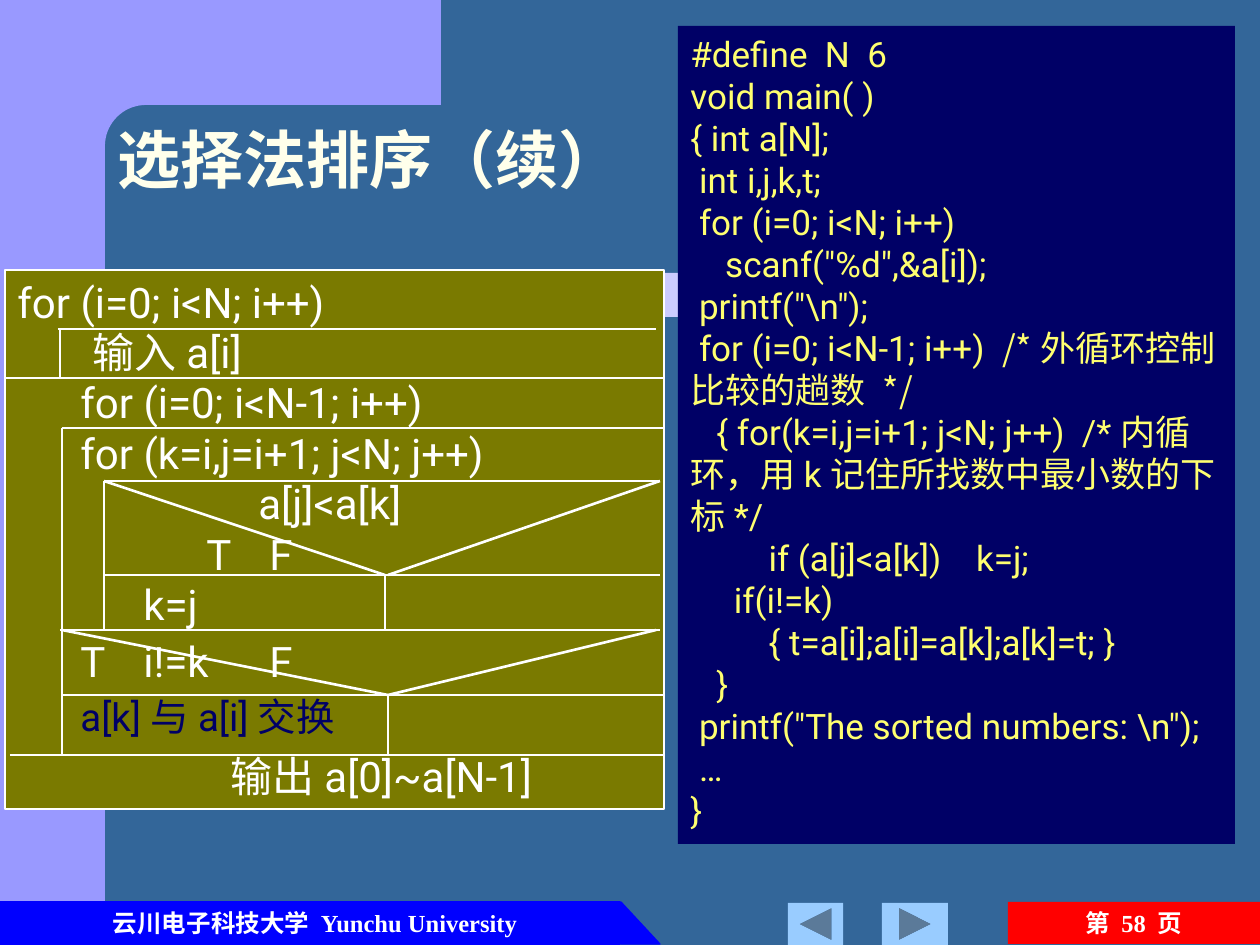
import math

import pptx
import pptx.dml.color
import pptx.enum.shapes
import pptx.enum.text
import pptx.oxml
import pptx.oxml.ns
import pptx.util

SHAPE = pptx.enum.shapes.MSO_SHAPE
ALIGN = pptx.enum.text.PP_ALIGN
ANCHOR = pptx.enum.text.MSO_ANCHOR
qn = pptx.oxml.ns.qn

EMU_PER_PX = 914400 / 126
WHITE = "FFFFFF"
NAVY = "000066"
LILAC = "9999FF"
CJK = "Noto Sans CJK SC"


def px(length):
    return pptx.util.Emu(round(length * EMU_PER_PX))


def color(hex_value):
    return pptx.dml.color.RGBColor.from_string(hex_value)


def style(shape, fill, line=None, width=0.75):
    shape.shadow.inherit = False
    shape.fill.solid()
    shape.fill.fore_color.rgb = color(fill)
    if line:
        shape.line.color.rgb = color(line)
        shape.line.width = pptx.util.Pt(width)
    else:
        shape.line.fill.background()


def add_block(slide, preset, box, fill, **outline):
    shape = slide.shapes.add_shape(preset, *map(px, box))
    style(shape, fill, **outline)
    return shape


def add_line(slide, start, end):
    line = slide.shapes.add_connector(
        pptx.enum.shapes.MSO_CONNECTOR.STRAIGHT, *map(px, start + end))
    line.line.color.rgb = color(WHITE)
    line.line.width = pptx.util.Pt(1.5)
    line._element.spPr.append(pptx.oxml.parse_xml(
        '<a:effectLst xmlns:a="http://schemas.openxmlformats.org/drawingml/2006/main"/>'))


def prepare_frame(shape, anchor=ANCHOR.TOP):
    frame = shape.text_frame
    frame.word_wrap = True
    frame.vertical_anchor = anchor
    frame.margin_left = frame.margin_right = pptx.util.Inches(0.1)
    frame.margin_top = frame.margin_bottom = pptx.util.Inches(0.05)
    return frame


def write(frame, *parts, font, size, fill, asian=None, bold=False, align=ALIGN.LEFT,
          spacing=None, before=0, indent=0, tabs=()):
    """Add one paragraph; a part is text, or a (text, latin font) pair."""
    first = frame.paragraphs[0]
    paragraph = first if not first.runs else frame.add_paragraph()
    paragraph.alignment = align
    paragraph.space_before = pptx.util.Pt(before)
    if spacing:
        paragraph.line_spacing = spacing
    properties = paragraph._p.get_or_add_pPr()
    properties.set("marL", "0")
    properties.set("indent", str(px(indent)))
    if tabs:
        stops = properties.makeelement(qn("a:tabLst"), {})
        for position in tabs:
            stops.append(stops.makeelement(
                qn("a:tab"), {"pos": str(px(position)), "algn": "l"}))
        properties.append(stops)
    for part in parts:
        text, latin = part if isinstance(part, tuple) else (part, font)
        run = paragraph.add_run()
        run.text = text
        run.font.name = latin
        run.font.size = pptx.util.Pt(size)
        run.font.bold = bold
        run.font.color.rgb = color(fill)
        run.font._element.find(qn("a:latin")).addnext(
            properties.makeelement(qn("a:ea"), {"typeface": asian or font}))


def draw_backdrop(slide):
    slide.background.fill.solid()
    slide.background.fill.fore_color.rgb = color("336699")
    add_block(slide, SHAPE.RECTANGLE, (0, 0, 105, 945), LILAC)

    radius, inner, bottom = 41, 105, 105
    corner = [(inner + radius * (1 - math.sin(math.radians(angle))),
               bottom + radius * (1 - math.cos(math.radians(angle))))
              for angle in range(0, 91, 5)]
    outline = [(63, 0), (441, 0), (441, bottom), *corner, (inner, 161), (63, 161)]
    points = [(px(x), px(y)) for x, y in outline]
    builder = slide.shapes.build_freeform(*points[0])
    builder.add_line_segments(points[1:], close=True)
    style(builder.convert_to_shape(), LILAC)

    add_block(slide, SHAPE.RECTANGLE, (84, 273, 966, 44), "CCCCFF")


def draw_footer(slide, left, top, width, height):
    blue, red, button = "0000FF", "FF0000", "99CCFF"
    add_block(slide, SHAPE.RECTANGLE, (left, top, 620, height), blue, line=blue)
    add_block(slide, SHAPE.RIGHT_TRIANGLE, (left + 621, top, 39, height), blue, line=blue)
    label = dict(size=14, fill=WHITE, asian=CJK, bold=True, align=ALIGN.CENTER)

    school = slide.shapes.add_textbox(*map(px, (left + 36, top, 558, height)))
    write(prepare_frame(school, ANCHOR.MIDDLE), "云川电子科技大学 Yunchu University",
          font="Times New Roman", **label)

    page = add_block(slide, SHAPE.RECTANGLE, (left + width - 252, top, 252, height), red)
    write(prepare_frame(page, ANCHOR.MIDDLE), "第 ", ("58 ", "Times New Roman"), "页",
          font=CJK, **label)

    forward = SHAPE.ACTION_BUTTON_FORWARD_OR_NEXT
    add_block(slide, forward, (left + 882, top + 1, 66, height), button)
    back = add_block(slide, forward, (left + 788, top + 1, 55, height), button)
    back.rotation = 180


def draw_title(slide, left, top, width, height):
    title = slide.shapes.add_textbox(*map(px, (left, top, width, height)))
    write(prepare_frame(title, ANCHOR.BOTTOM), "选择法排序（续）",
          font="Arial", size=36, fill="FFFFEB", bold=True, spacing=0.9)


def draw_flow_diagram(slide, left, top, width, height):
    """Draw the nested box diagram of the sort."""
    panel = add_block(slide, SHAPE.RECTANGLE, (left, top, width, height), "7A7A00",
                      line=WHITE, width=1.5)
    frame = prepare_frame(panel)
    steps = [
        ("for (i=0; i<N; i++)", dict()),
        ("输入a[i]", dict(indent=75)),
        ("for (i=0; i<N-1; i++)", dict(indent=63)),
        ("for (k=i,j=i+1; j<N; j++)", dict(indent=63)),
        ("a[j]<a[k]", dict(indent=241)),
        ("T\tF", dict(indent=189, tabs=[494])),
        ("k=j", dict(indent=126)),
        ("T\ti!=k\tF", dict(indent=63, tabs=[243, 485], before=4)),
        ("a[k]与a[i]交换", dict(indent=63, before=4, size=22, fill=NAVY)),
        ("输出a[0]~a[N-1]", dict(indent=213, before=6)),
    ]
    for text, changes in steps:
        look = dict(font="Roboto", size=24, fill=WHITE) | changes
        write(frame, text, spacing=pptx.util.Pt(look["size"] * 1.2), **look)

    outer, inner, middle, right = 57, 99, 383, 655
    read, sort, scan, compare, choose, swap, exchange, output = (
        59, 108, 158, 211, 305, 360, 425, 485)
    rules = [
        (53, read, 651, read), (1, sort, width, sort), (outer, scan, width, scan),
        (inner, compare, right, compare), (inner, choose, right, choose),
        (outer - 2, swap, right, swap), (outer, exchange, width, exchange),
        (5, output, width, output),
        (55, read, 55, sort), (outer, scan, outer, output), (inner, compare, inner, swap),
        (middle - 3, choose, middle - 3, swap), (middle, exchange, middle, output),
        (inner, compare, middle - 3, choose), (middle, choose, right, compare),
        (outer, swap, middle, exchange), (651, swap, middle, exchange),
    ]
    for x1, y1, x2, y2 in rules:
        add_line(slide, (left + x1, top + y1), (left + x2, top + y2))


def draw_code(slide, left, top, width, height):
    panel = add_block(slide, SHAPE.RECTANGLE, (left, top, width, height), NAVY)
    frame = prepare_frame(panel)
    space_width = 8.7
    code = [
        (0, "#define  N  6"),
        (0, "void main( )"),
        (0, "{ int a[N];"),
        (1, "int i,j,k,t;"),
        (1, "for (i=0; i<N; i++)"),
        (4, 'scanf("%d",&a[i]);'),
        (1, r'printf("\n");'),
        (1, "for (i=0; i<N-1; i++)  ", ("/*外循环控制比较的趟数 */", CJK)),
        (3, "{ for(k=i,j=i+1; j<N; j++)  /*内循环，用k记住所找数中最小数的下标*/"),
        (9, "if (a[j]<a[k])    k=j;"),
        (5, "if(i!=k)"),
        (9, "{ t=a[i];a[i]=a[k];a[k]=t; }"),
        (3, "}"),
        (1, r'printf("The sorted numbers: \n");'),
        (1, "…"),
        (0, "}"),
    ]
    for depth, *parts in code:
        write(frame, *parts, font="Roboto", size=20, fill="FFFF70",
              spacing=pptx.util.Pt(24), indent=depth * space_width)


def main():
    deck = pptx.Presentation()
    deck.slide_width, deck.slide_height = px(1260), px(945)
    slide = deck.slides.add_slide(deck.slide_layouts[6])
    draw_backdrop(slide)
    draw_footer(slide, 0, 902, 1260, 42)
    draw_title(slide, 105, 45, 1092, 158)
    draw_flow_diagram(slide, 5, 270, 659, 539)
    draw_code(slide, 678, 26, 557, 818)
    deck.save("out.pptx")


if __name__ == "__main__":
    main()
